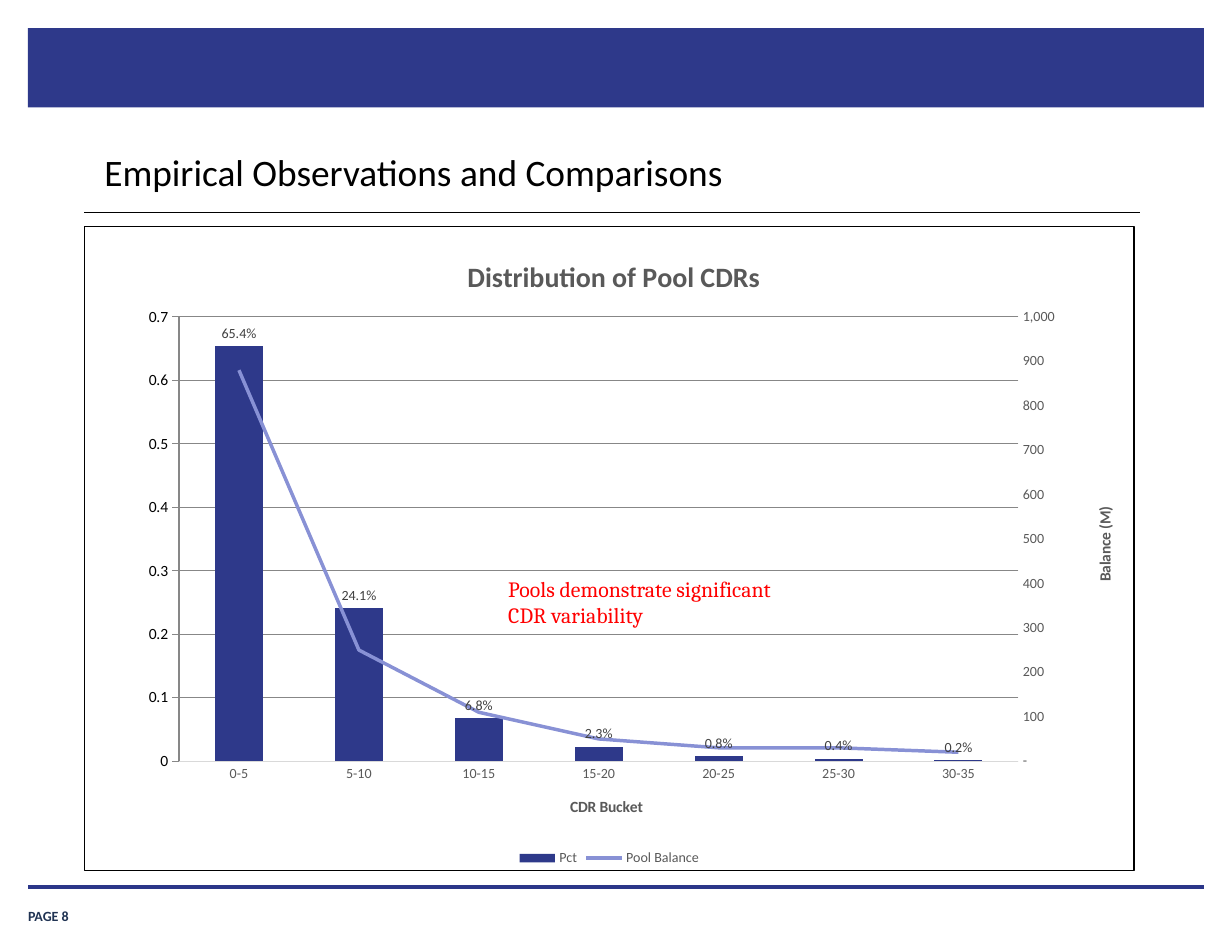
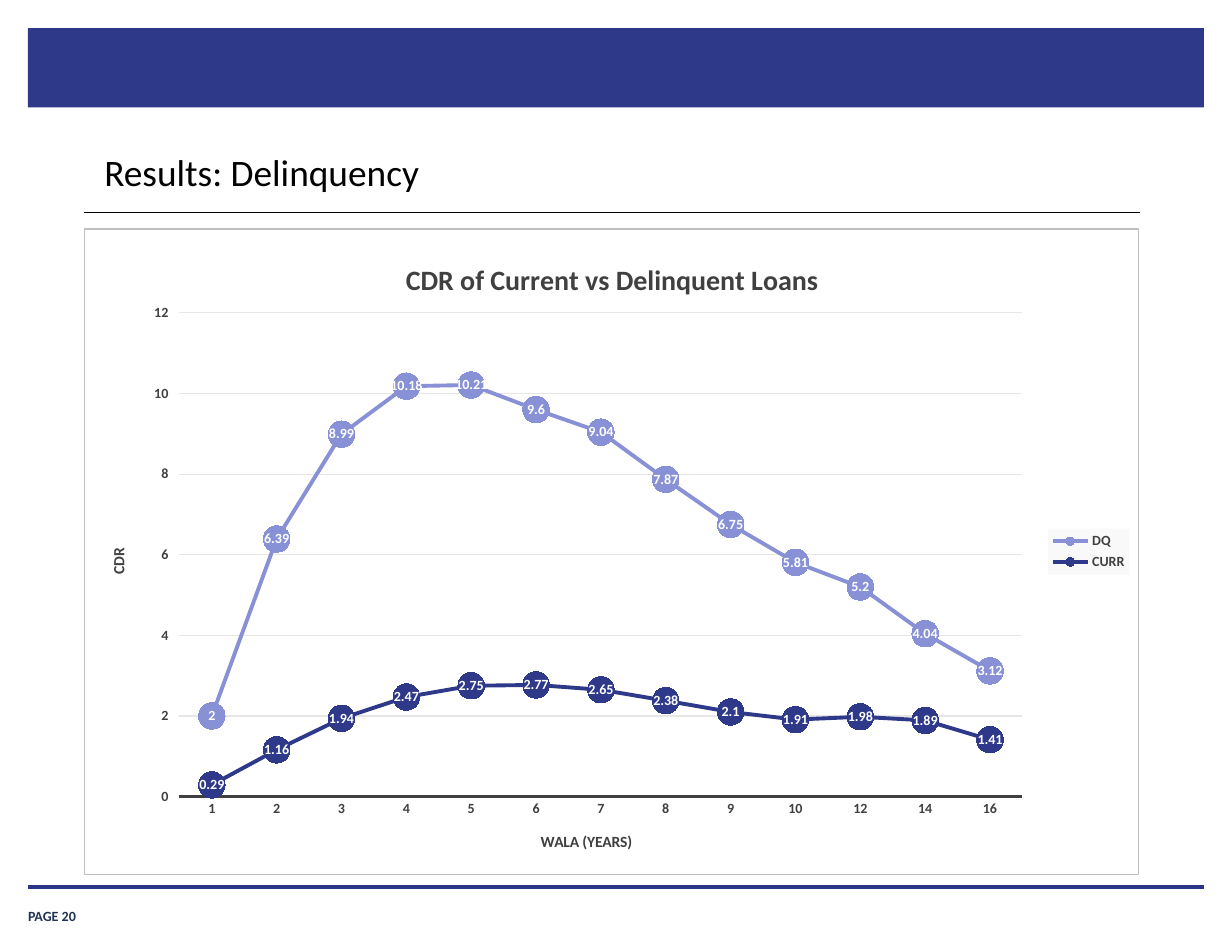
import copy

import pptx
import pptx.chart.axis
import pptx.chart.data
import pptx.dml.color
import pptx.enum.chart
import pptx.enum.shapes
import pptx.enum.text
import pptx.oxml.ns
import pptx.util

RGBColor = pptx.dml.color.RGBColor
NAVY = RGBColor(0x2E, 0x39, 0x8A)
RULE_NAVY = RGBColor(0x2B, 0x36, 0x89)
PAGE_NAVY = RGBColor(0x20, 0x33, 0x53)
LAVENDER = RGBColor(0x88, 0x91, 0xD5)
BLACK = RGBColor(0, 0, 0)
WHITE = RGBColor(0xFF, 0xFF, 0xFF)
RED = RGBColor(0xFF, 0, 0)
DARK_GRAY = RGBColor(0x40, 0x40, 0x40)
MID_GRAY = RGBColor(0x59, 0x59, 0x59)
BORDER_GRAY = RGBColor(0xBF, 0xBF, 0xBF)
GRID_GRAY = RGBColor(0xD9, 0xD9, 0xD9)
PALE_GRID = RGBColor(0xE6, 0xE6, 0xE6)
LEGEND_GRAY = RGBColor(0xF9, 0xF9, 0xF9)

COLUMNS, ROWS = 44, 34  # grid cells of a quarter inch
Pt = pptx.util.Pt
qn = pptx.oxml.ns.qn
Label = pptx.enum.chart.XL_LABEL_POSITION
Legend = pptx.enum.chart.XL_LEGEND_POSITION
Tick = pptx.enum.chart.XL_TICK_MARK
ChartType = pptx.enum.chart.XL_CHART_TYPE


def assign(target, values):
    for name, value in values.items():
        setattr(target, name, value)


def style_font(font, size, color, bold=False, name="Calibri"):
    assign(font, {"size": Pt(size), "bold": bold, "name": name})
    font.color.rgb = color


def style_line(line, color, width):
    line.color.rgb = color
    line.width = Pt(width)


def chart_xml(text):
    return pptx.oxml.parse_xml(text.replace(
        ">", " " + pptx.oxml.ns.nsdecls("c", "a") + ">", 1))


def area_xml(fill, border=None, width=0):
    outline = (f'<a:ln w="{Pt(width)}"><a:solidFill><a:srgbClr val="{border}"/>'
               '</a:solidFill></a:ln>') if border else ""
    return chart_xml('<c:spPr><a:solidFill>'
                     f'<a:srgbClr val="{fill}"/></a:solidFill>{outline}</c:spPr>')


def place(element, left, top, width=None, height=None):
    """Fix a chart part by shares of the chart's size."""
    modes = '<c:xMode val="edge"/><c:yMode val="edge"/>'
    target = '<c:layoutTarget val="inner"/>' if width else ""
    size = f'<c:w val="{width}"/><c:h val="{height}"/>' if width else ""
    layout = chart_xml(f'<c:layout><c:manualLayout>{target}{modes}<c:x val="{left}"/>'
                       f'<c:y val="{top}"/>{size}</c:manualLayout></c:layout>')
    for previous in element.findall(qn("c:layout")):
        element.remove(previous)
    element.insert(0 if width else 1, layout)  # a title's text comes first


class Deck:
    def __init__(self):
        self.presentation = pptx.Presentation()
        assign(self.presentation, {"slide_width": pptx.util.Inches(11),
                                   "slide_height": pptx.util.Inches(8.5)})
        self.column = self.presentation.slide_width / COLUMNS
        self.row = self.presentation.slide_height / ROWS
        self.slide = None

    def box(self, left, top, width, height):
        return (round(left * self.column), round(top * self.row),
                round(width * self.column), round(height * self.row))

    def add_slide(self, title, page):
        self.slide = self.presentation.slides.add_slide(
            self.presentation.slide_layouts[5])
        # Band and footer
        band = self.slide.shapes.add_shape(
            pptx.enum.shapes.MSO_SHAPE.RECTANGLE, *self.box(1, 1, 42, 2.84))
        band.shadow.inherit = False
        band.fill.solid()
        band.fill.fore_color.rgb = NAVY
        band.line.fill.background()
        self.rule(1, 43, 31.68, RULE_NAVY, 2)
        frame = self.text(f"PAGE {page}", (1, 32.08, 3.64, 0.92), 9, PAGE_NAVY, bold=True)
        assign(frame, dict.fromkeys(
            ("margin_left", "margin_right", "margin_top", "margin_bottom"), 0))
        frame.vertical_anchor = pptx.enum.text.MSO_ANCHOR.BOTTOM
        # Title and its rule
        shape = self.slide.shapes.title
        assign(shape, dict(zip(("left", "top", "width", "height"),
                               self.box(3.28, 5.12, 37.4, 1.92))))
        shape.text_frame.text = title
        assign(shape.text_frame, {
            "margin_left": Pt(8), "margin_right": Pt(8),
            "margin_top": Pt(4), "margin_bottom": Pt(4),
            "auto_size": pptx.enum.text.MSO_AUTO_SIZE.NONE,
            "vertical_anchor": pptx.enum.text.MSO_ANCHOR.TOP})
        paragraph = shape.text_frame.paragraphs[0]
        paragraph.alignment = pptx.enum.text.PP_ALIGN.LEFT
        style_font(paragraph.font, 24, BLACK)
        self.rule(3, 40.72, 7.6, BLACK, 0.75)

    def rule(self, start, end, row, color, width):
        left, top, span, _ = self.box(start, row, end - start, 0)
        connector = self.slide.shapes.add_connector(
            pptx.enum.shapes.MSO_CONNECTOR.STRAIGHT, left, top, left + span, top)
        style_line(connector.line, color, width)
        connector._element.spPr.append(pptx.oxml.parse_xml(
            f'<a:effectLst {pptx.oxml.ns.nsdecls("a")}/>'))

    def text(self, text, area, size, color, indent=0, **style):
        frame = self.slide.shapes.add_textbox(*self.box(*area)).text_frame
        frame.word_wrap = True
        frame.text = text
        paragraph = frame.paragraphs[0]
        paragraph._p.get_or_add_pPr().set("marL", str(round(indent * self.column)))
        style_font(paragraph.font, size, color, **style)
        return frame

    def chart(self, kind, area, categories, series, plot_area, border, color, bold):
        data = pptx.chart.data.CategoryChartData()
        data.categories = categories
        for name, values in series.items():
            data.add_series(name, values)
        chart = self.slide.shapes.add_chart(kind, *self.box(*area), data).chart
        style_font(chart.font, 10, color, bold)
        space = chart._chartSpace
        space.find(qn("c:chart")).addnext(area_xml(WHITE, border, 0.75))
        if space.find(qn("c:roundedCorners")) is None:
            space.find(qn("c:date1904")).addnext(
                chart_xml('<c:roundedCorners val="0"></c:roundedCorners>'))
        place(space.chart.plotArea, *plot_area)
        chart.plots[0].vary_by_categories = False
        return chart

    def chart_title(self, title, text, size, color, position, turned=False):
        title.text_frame.text = text
        style_font(title.text_frame.paragraphs[0].runs[0].font, size, color, True)
        if turned:
            body = title.text_frame._txBody.bodyPr
            body.set("rot", "-5400000")
            body.set("vert", "horz")
        place(title._element, *position)

    def axis(self, axis, title, position, color, bold=False, line=None,
             grid=None, tick=Tick.NONE, scale=None, number_format=None):
        turned = scale is not None
        self.chart_title(axis.axis_title, title, 10, color, position, turned)
        assign(axis, {"major_tick_mark": tick, "minor_tick_mark": Tick.NONE,
                      "has_major_gridlines": grid is not None})
        style_font(axis.tick_labels.font, 9, color, bold)
        if grid is not None:
            style_line(axis.major_gridlines.format.line, grid, 0.75)
        if line:
            style_line(axis.format.line, *line)
        else:
            axis.format.line.fill.background()
        if scale:
            assign(axis, {"minimum_scale": 0, "maximum_scale": scale[0],
                          "major_unit": scale[1]})
        if number_format:
            assign(axis.tick_labels, {"number_format": number_format,
                                      "number_format_is_linked": False})

    def legend(self, chart, position, color, bold=False, fill=None):
        chart.has_legend = True
        assign(chart.legend, {"position": position, "include_in_layout": False})
        style_font(chart.legend.font, 9, color, bold)
        if fill is not None:
            chart.legend._element.find(qn("c:txPr")).addprevious(area_xml(fill))

    def labels(self, series, position, color, bold=False, number_format="General"):
        labels = series.data_labels
        assign(labels, {"show_value": True, "position": position,
                        "number_format": number_format,
                        "number_format_is_linked": False})
        style_font(labels.font, 9, color, bold)

    def line_on_right_axis(self, chart):
        """Turn the last column series into a line and return its value axis."""
        plot_area = chart._chartSpace.chart.plotArea
        bars = plot_area.find(qn("c:barChart"))
        series = bars.findall(qn("c:ser"))[-1]
        for element in series.findall(qn("c:invertIfNegative")):
            series.remove(element)
        lines = chart_xml(
            '<c:lineChart><c:grouping val="standard"/><c:varyColors val="0"/>'
            '<c:marker val="1"/><c:axId val="5001"/><c:axId val="5002"/></c:lineChart>')
        lines.insert(2, series)
        bars.addnext(lines)
        changes = {"c:catAx": {"axId": "5001", "crossAx": "5002", "delete": "1"},
                   "c:valAx": {"axId": "5002", "crossAx": "5001", "axPos": "r",
                               "crosses": "max"}}
        last = plot_area.find(qn("c:valAx"))
        for kind, values in changes.items():
            element = copy.deepcopy(plot_area.find(qn(kind)))
            for tag, setting in values.items():
                element.find(qn("c:" + tag)).set("val", setting)
            last.addnext(element)
            last = element
        return pptx.chart.axis.ValueAxis(last)


def pool_distribution(deck):
    deck.add_slide("Empirical Observations and Comparisons", 8)
    chart = deck.chart(
        ChartType.COLUMN_CLUSTERED, (3, 8.08, 37.52, 23.04),
        [f"{start}-{start + 5}" for start in range(0, 35, 5)],
        {"Pct": (0.654, 0.241, 0.068, 0.023, 0.008, 0.004, 0.002),
         "Pool Balance": (880, 250, 110, 50, 30, 30, 20)},
        (0.09, 0.14, 0.8, 0.69), BLACK, BLACK, False)
    right_axis = deck.line_on_right_axis(chart)
    deck.chart_title(chart.chart_title, "Distribution of Pool CDRs", 18, MID_GRAY,
                     (0.36, 0.04))
    deck.axis(chart.category_axis, "CDR Bucket", (0.46, 0.88), MID_GRAY,
              line=(GRID_GRAY, 0.75))
    deck.axis(chart.value_axis, "Percent of Total", (0.02, 0.41), MID_GRAY,
              grid=GRID_GRAY, scale=(0.7, 0.1), number_format="0%")
    deck.axis(right_axis, "Balance (M)", (0.96, 0.43), MID_GRAY,
              scale=(1000, 100), number_format='#,##0;-#,##0;"-"')
    deck.legend(chart, Legend.BOTTOM, MID_GRAY)
    # Columns and the balance line
    columns, lines = chart.plots
    assign(columns, {"gap_width": 150, "overlap": -27})
    percent, balance = columns.series[0], lines.series[0]
    percent.format.fill.solid()
    percent.format.fill.fore_color.rgb = NAVY
    deck.labels(percent, Label.OUTSIDE_END, DARK_GRAY, number_format="0.0%")
    style_line(balance.format.line, LAVENDER, 2.25)
    balance.marker.style = pptx.enum.chart.XL_MARKER_STYLE.NONE
    balance.smooth = False
    # Remark on the chart
    deck.text("Pools demonstrate significant CDR variability",
              (15.52, 20.36, 12.96, 2.28), 14, RED, indent=2.24, name="Cambria")


def delinquency(deck):
    deck.add_slide("Results: Delinquency", 20)
    chart = deck.chart(
        ChartType.LINE_MARKERS, (3, 8.16, 37.68, 23.08),
        [str(year) for year in (*range(1, 11), 12, 14, 16)],
        {"DQ": (2, 6.39, 8.99, 10.18, 10.21, 9.6, 9.04, 7.87, 6.75, 5.81, 5.2, 4.04, 3.12),
         "CURR": (0.29, 1.16, 1.94, 2.47, 2.75, 2.77, 2.65, 2.38, 2.1, 1.91, 1.98,
                  1.89, 1.41)},
        (0.09, 0.13, 0.8, 0.75), BORDER_GRAY, BLACK, True)
    deck.chart_title(chart.chart_title, "CDR of Current vs Delinquent Loans", 18,
                     DARK_GRAY, (0.3, 0.04))
    deck.axis(chart.category_axis, "WALA (YEARS)", (0.43, 0.93), DARK_GRAY, True,
              line=(DARK_GRAY, 1.5))
    deck.axis(chart.value_axis, "CDR", (0.02, 0.49), DARK_GRAY, True,
              grid=PALE_GRID, tick=Tick.OUTSIDE, scale=(12, 2), number_format="General")
    deck.legend(chart, Legend.RIGHT, DARK_GRAY, True, LEGEND_GRAY)
    # Lines with labelled round markers
    for series, color in zip(chart.plots[0].series, (LAVENDER, NAVY)):
        series.smooth = False
        style_line(series.format.line, color, 2.5)
        assign(series.marker, {"style": pptx.enum.chart.XL_MARKER_STYLE.CIRCLE, "size": 17})
        series.marker.format.fill.solid()
        series.marker.format.fill.fore_color.rgb = color
        series.marker.format.line.fill.background()
        deck.labels(series, Label.CENTER, WHITE, True)


if __name__ == "__main__":
    deck = Deck()
    pool_distribution(deck)
    delinquency(deck)
    deck.presentation.save("out.pptx")
